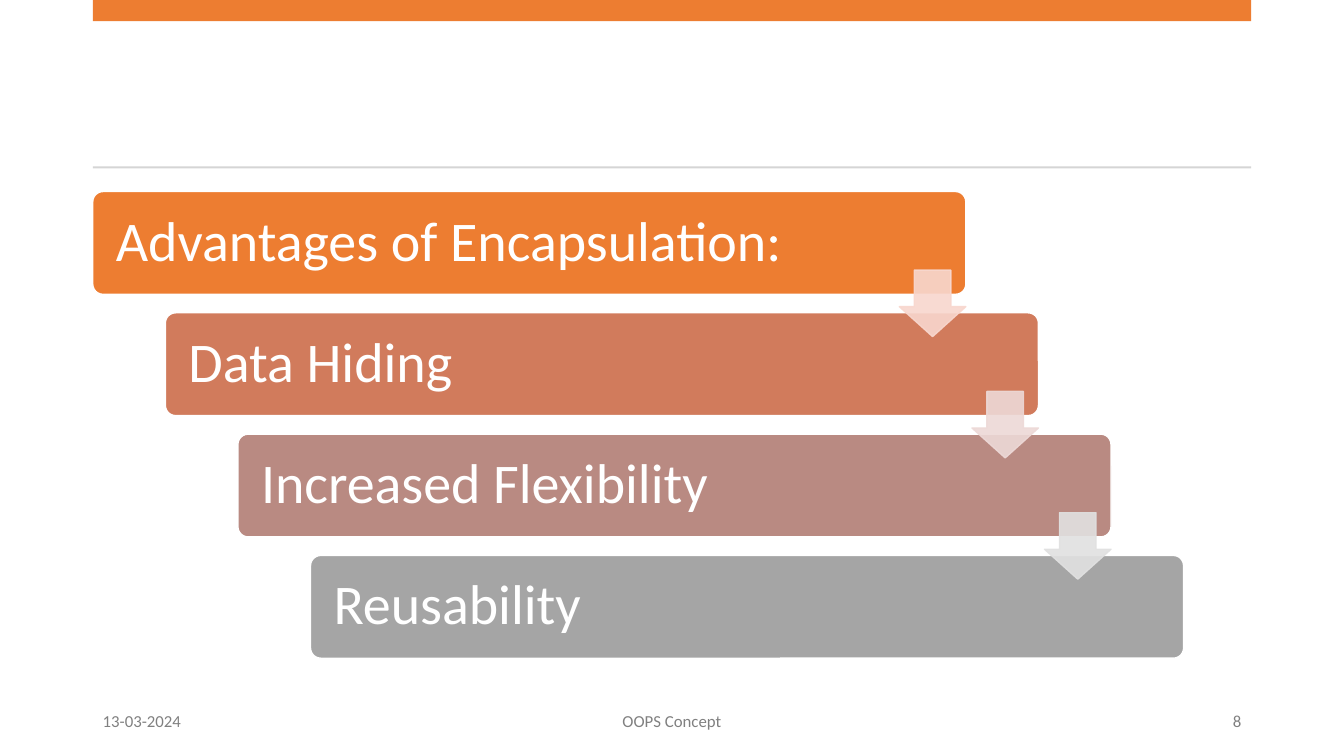
from lxml import etree
from pptx import Presentation
from pptx.dml.color import RGBColor
from pptx.enum.shapes import MSO_SHAPE
from pptx.enum.text import MSO_ANCHOR, PP_ALIGN
from pptx.oxml.ns import qn
from pptx.util import Inches, Pt

RECTANGLE, ROUNDED, ARROW = MSO_SHAPE.RECTANGLE, MSO_SHAPE.ROUNDED_RECTANGLE, MSO_SHAPE.DOWN_ARROW
LEFT, CENTER, RIGHT = PP_ALIGN.LEFT, PP_ALIGN.CENTER, PP_ALIGN.RIGHT
MIDDLE = MSO_ANCHOR.MIDDLE

COLORS = {"accent": "ED7D31", "rule": "D5D5D5", "footer": "808080", "white": "FFFFFF"}
PAGE_WIDTH, PAGE_HEIGHT = 13.33, 7.5
MARGIN = 0.92
CONTENT_WIDTH = PAGE_WIDTH - 2 * MARGIN

# Staircase grid: every step moves right and down by the same amount
STEP_TOP, STEP_WIDTH, STEP_HEIGHT = 1.9, 8.66, 1.02
SHIFT_X, SHIFT_Y = 0.72, 3.61 / 3
ARROW_SIZE = 0.66

deck = Presentation()
deck.slide_width, deck.slide_height = Inches(PAGE_WIDTH), Inches(PAGE_HEIGHT)
page = deck.slides.add_slide(deck.slide_layouts[6])


def add_block(kind, left, top, width, height, fill, line=None, adjustments=()):
    block = page.shapes.add_shape(kind, Inches(left), Inches(top), Inches(width), Inches(height))
    block.shadow.inherit = False
    block.fill.solid()
    block.fill.fore_color.rgb = RGBColor.from_string(fill)
    if line:
        block.line.color.rgb = RGBColor.from_string(line)
        block.line.width = Pt(1)
    else:
        block.line.fill.background()
    for index, value in enumerate(adjustments):
        block.adjustments[index] = value
    return block


def write_text(box, text, size, color, align):
    frame = box.text_frame
    frame.word_wrap = True
    frame.vertical_anchor = MIDDLE
    para = frame.paragraphs[0]
    para.alignment = align
    span = para.add_run()
    span.text = text
    span.font.name = "Calibri"
    span.font.size = Pt(size)
    span.font.color.rgb = RGBColor.from_string(color)
    return frame


# Top bar and title rule
add_block(RECTANGLE, MARGIN, 0, CONTENT_WIDTH, 0.21, COLORS["accent"])
add_block(RECTANGLE, MARGIN, 1.65, CONTENT_WIDTH, 0.02, COLORS["rule"])

# Footer: date, topic, page number
footers = [
    ("13-03-2024", MARGIN, 2.88, LEFT),
    ("OOPS Concept", (PAGE_WIDTH - 4.5) / 2, 4.5, CENTER),
    ("8", PAGE_WIDTH - MARGIN - 2.88, 2.88, RIGHT),
]
for text, left, width, align in footers:
    box = page.shapes.add_textbox(Inches(left), Inches(6.95), Inches(width), Inches(0.4))
    write_text(box, text, 12, COLORS["footer"], align)

# Staircase of advantages
steps = [
    ("Advantages of Encapsulation:", COLORS["accent"]),
    ("Data Hiding", "D17B5C"),
    ("Increased Flexibility", "B98A82"),
    ("Reusability", "A5A5A5"),
]
for row, (text, fill) in enumerate(steps):
    step = add_block(ROUNDED, MARGIN + row * SHIFT_X, STEP_TOP + row * SHIFT_Y,
                     STEP_WIDTH, STEP_HEIGHT, fill, COLORS["white"], [0.1])
    frame = write_text(step, text, 40, COLORS["white"], LEFT)
    frame.margin_left = frame.margin_right = Inches(0.2)
    frame.paragraphs[0].line_spacing = 0.9

# Translucent arrows linking each step to the next
for row, tint in enumerate(["F8D7CE", "EDD9D7", "E1E1E1"]):
    arrow = add_block(ARROW, MARGIN + STEP_WIDTH - ARROW_SIZE + row * SHIFT_X,
                      2.68 + row * SHIFT_Y, ARROW_SIZE, ARROW_SIZE, tint, tint, [0.55, 0.45])
    for color in arrow.element.spPr.iter(qn("a:srgbClr")):
        etree.SubElement(color, qn("a:alpha")).set("val", "90000")

deck.save("out.pptx")
